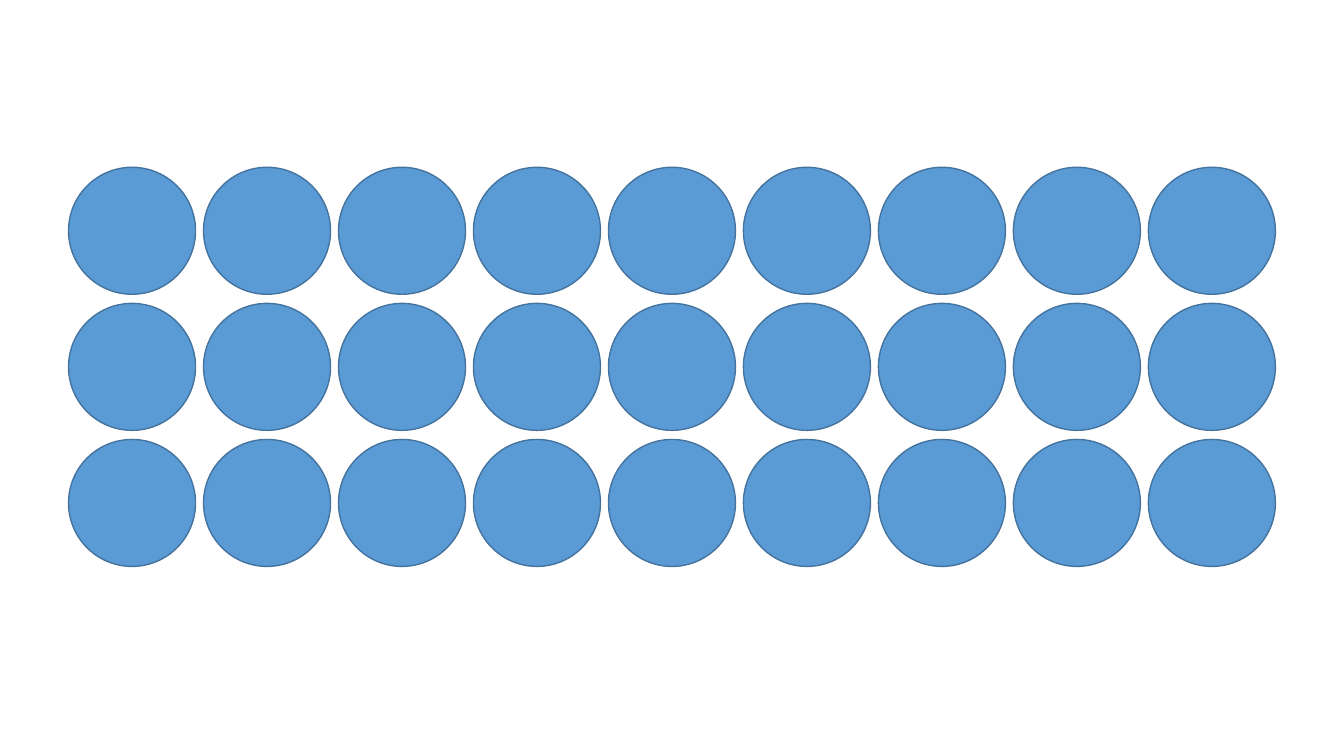
from pptx import Presentation
from pptx.dml.color import RGBColor
from pptx.enum.shapes import MSO_SHAPE
from pptx.util import Inches, Pt

ROWS, COLS = 3, 9
LEFT, RIGHT, TOP = 0.68, 11.39, 1.66  # left edges of first and last column
SIZE = 1.26
COL_STEP = (RIGHT - LEFT) / (COLS - 1)
ROW_STEP = 1.35


def color(text):
    return RGBColor.from_string(text)


def add_circle(group, left, top):
    circle = group.shapes.add_shape(
        MSO_SHAPE.OVAL, Inches(left), Inches(top), Inches(SIZE), Inches(SIZE))
    circle.shadow.inherit = False
    circle.fill.solid()
    circle.fill.fore_color.rgb = color("5B9BD5")
    circle.line.color.rgb = color("43739E")
    circle.line.width = Pt(1)


def add_row(slide, top):
    group = slide.shapes.add_group_shape()
    for col in range(COLS):
        add_circle(group, LEFT + col * COL_STEP, top)


def main():
    deck = Presentation()
    deck.slide_width = Inches(13.33)
    deck.slide_height = Inches(7.5)
    slide = deck.slides.add_slide(deck.slide_layouts[6])
    for row in range(ROWS):
        add_row(slide, TOP + row * ROW_STEP)
    deck.save("out.pptx")


if __name__ == "__main__":
    main()
